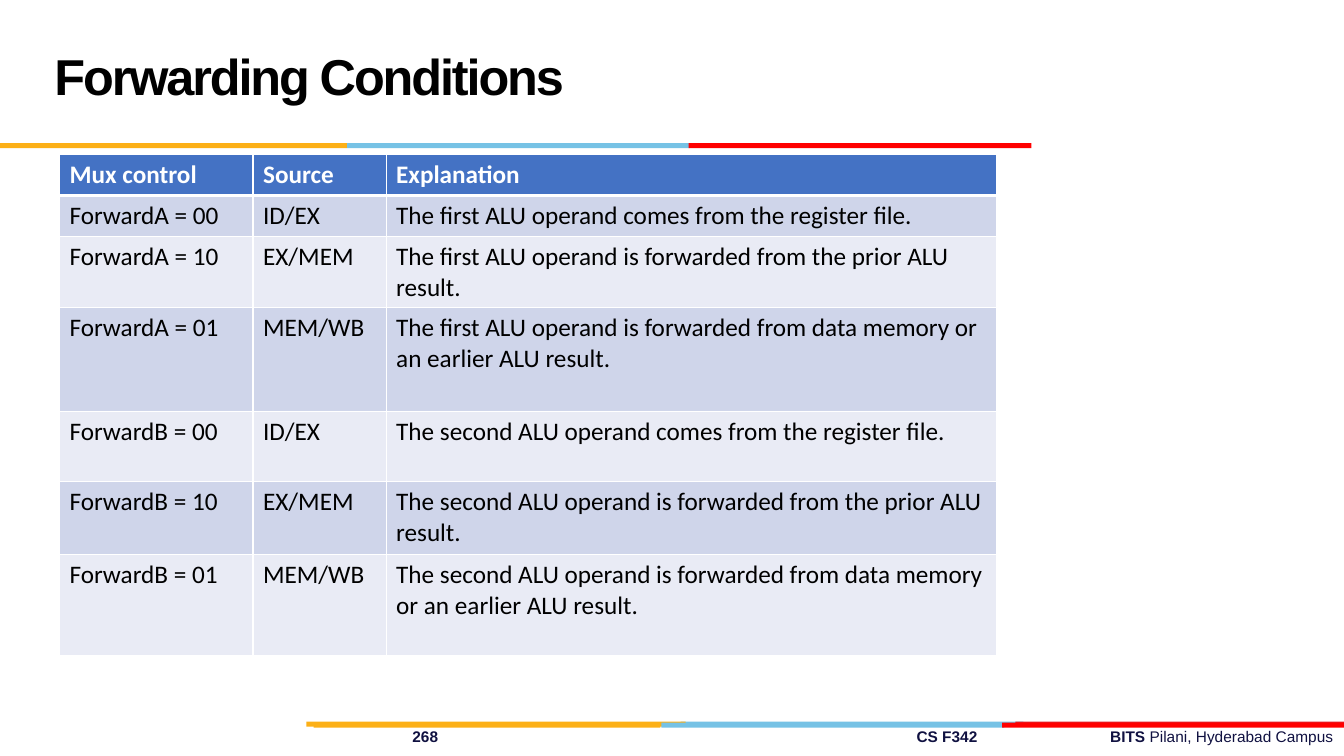
import pptx
import pptx.dml.color
import pptx.enum.shapes
import pptx.enum.text
import pptx.oxml
import pptx.oxml.ns
import pptx.util
from pptx.util import Inches

COLORS = {
    "black": "000000", "white": "FFFFFF", "navy": "101141",
    "yellow": "FCB017", "sky": "76C2E5", "crimson": "E31C24", "red": "FF0000",
    "header": "4472C4", "odd": "CFD5EA", "even": "E9EBF5",
}
STRIPE_HEIGHT = 0.05
TITLE_STRIPE = [("sky", 3.44, 3.4), ("yellow", 0, 3.44), ("red", 6.83, 3.4)]
FOOTER_BACK_STRIPE = [("sky", 3.71, 3.4), ("crimson", 7.03, 3.26), ("yellow", 0, 3.76)]
FOOTER_FRONT_STRIPE = [("sky", 3.52, 3.4), ("yellow", 0.07, 3.44), ("red", 6.9, 3.4)]
COLUMN_WIDTHS = [1.92, 1.32, 6.05]
ROW_HEIGHTS = [0.41, 0.41, 0.7, 1.03, 0.7, 0.72, 1]
CONDITIONS = [
    ("Mux control", "Source", "Explanation"),
    ("ForwardA = 00", "ID/EX", "The first ALU operand comes from the register file."),
    ("ForwardA = 10", "EX/MEM", "The first ALU operand is forwarded from the prior ALU result."),
    ("ForwardA = 01", "MEM/WB",
     "The first ALU operand is forwarded from data memory or an earlier ALU result."),
    ("ForwardB = 00", "ID/EX", "The second ALU operand comes from the register file."),
    ("ForwardB = 10", "EX/MEM", "The second ALU operand is forwarded from the prior ALU result."),
    ("ForwardB = 01", "MEM/WB",
     "The second ALU operand is forwarded from data memory or an earlier ALU result."),
]


def rgb(name):
    """Return the named colour."""
    return pptx.dml.color.RGBColor.from_string(COLORS[name])


def format_font(font, family, size, color, bold):
    """Set the family, size, colour and weight of a font."""
    font.name = family
    font.size = pptx.util.Pt(size)
    font.color.rgb = rgb(color)
    font.bold = bold


def add_stripe(slide, left, top, segments):
    """Draw a grouped band of coloured segments from the given corner."""
    group = slide.shapes.add_group_shape()
    for color, offset, width in segments:
        segment = group.shapes.add_shape(
            pptx.enum.shapes.MSO_SHAPE.RECTANGLE, Inches(left + offset), Inches(top),
            Inches(width), Inches(STRIPE_HEIGHT))
        segment.shadow.inherit = False
        segment.fill.solid()
        segment.fill.fore_color.rgb = rgb(color)
        segment.line.fill.background()


def add_footer(slide, left, top, width, height):
    """Write the page number, course and campus on one tabbed line."""
    box = slide.shapes.add_textbox(Inches(left), Inches(top), Inches(width), Inches(height))
    frame = box.text_frame
    frame.word_wrap = True
    frame.margin_left = Inches(3.87)
    frame.margin_right = 0
    paragraph = frame.paragraphs[0]
    properties = paragraph._p.get_or_add_pPr()
    tabs = pptx.oxml.parse_xml(f'<a:tabLst {pptx.oxml.ns.nsdecls("a")}/>')
    for position in (5, 6.92):
        tabs.append(pptx.oxml.parse_xml(
            f'<a:tab {pptx.oxml.ns.nsdecls("a")} pos="{Inches(position)}" algn="l"/>'))
    properties.append(tabs)
    for text, bold in (("268\tCS F342\tBITS ", True), ("Pilani, Hyderabad Campus", False)):
        run = paragraph.add_run()
        run.text = text
        format_font(run.font, "Arial", 11, "navy", bold)


def place_title(slide, left, top, width, height):
    """Place and format the slide title."""
    title = slide.shapes.title
    title.left, title.top = Inches(left), Inches(top)
    title.width, title.height = Inches(width), Inches(height)
    frame = title.text_frame
    frame.text = "Forwarding Conditions"
    frame.vertical_anchor = pptx.enum.text.MSO_ANCHOR.MIDDLE
    paragraph = frame.paragraphs[0]
    paragraph.alignment = pptx.enum.text.PP_ALIGN.LEFT
    paragraph.line_spacing = pptx.util.Pt(36)
    run = paragraph.runs[0]
    format_font(run.font, "Arial", 36, "black", True)
    run.font._element.set("spc", "-150")


def add_borders(cell, top, bottom):
    """Give a cell white borders with the given top and bottom points."""
    properties = cell._tc.get_or_add_tcPr()
    for index, (side, points) in enumerate((("L", 1), ("R", 1), ("T", top), ("B", bottom))):
        properties.insert(index, pptx.oxml.parse_xml(
            f'<a:ln{side} {pptx.oxml.ns.nsdecls("a")} w="{pptx.util.Pt(points)}">'
            f'<a:solidFill><a:srgbClr val="{COLORS["white"]}"/></a:solidFill></a:ln{side}>'))


def add_conditions_table(slide, left, top):
    """Build the table of forwarding conditions from the given corner."""
    table = slide.shapes.add_table(
        len(ROW_HEIGHTS), len(COLUMN_WIDTHS), Inches(left), Inches(top),
        Inches(sum(COLUMN_WIDTHS)), Inches(sum(ROW_HEIGHTS))).table
    for column, width in zip(table.columns, COLUMN_WIDTHS):
        column.width = Inches(width)
    for row_index, (row, height) in enumerate(zip(table.rows, ROW_HEIGHTS)):
        row.height = Inches(height)
        is_header = row_index == 0
        fill = "header" if is_header else ("even", "odd")[row_index % 2]
        for cell, text in zip(row.cells, CONDITIONS[row_index]):
            cell.text = text
            cell.fill.solid()
            cell.fill.fore_color.rgb = rgb(fill)
            format_font(cell.text_frame.paragraphs[0].runs[0].font, "Calibri", 18,
                        "white" if is_header else "black", is_header)
            add_borders(cell, 3 if row_index == 1 else 1, 3 if is_header else 1)


def main():
    """Build and save the slide."""
    presentation = pptx.Presentation()
    presentation.slide_width = Inches(13.33)
    presentation.slide_height = Inches(7.5)
    slide = presentation.slides.add_slide(presentation.slide_layouts[5])
    add_footer(slide, 0.22, 7.16, 13.11, 0.29)
    add_stripe(slide, 3.04, 7.16, FOOTER_BACK_STRIPE)
    add_stripe(slide, 3.04, 7.17, FOOTER_FRONT_STRIPE)
    add_stripe(slide, 0, 1.42, TITLE_STRIPE)
    place_title(slide, 0.44, 0.17, 9.22, 1.25)
    add_conditions_table(slide, 0.59, 1.53)
    presentation.save("out.pptx")


if __name__ == "__main__":
    main()
